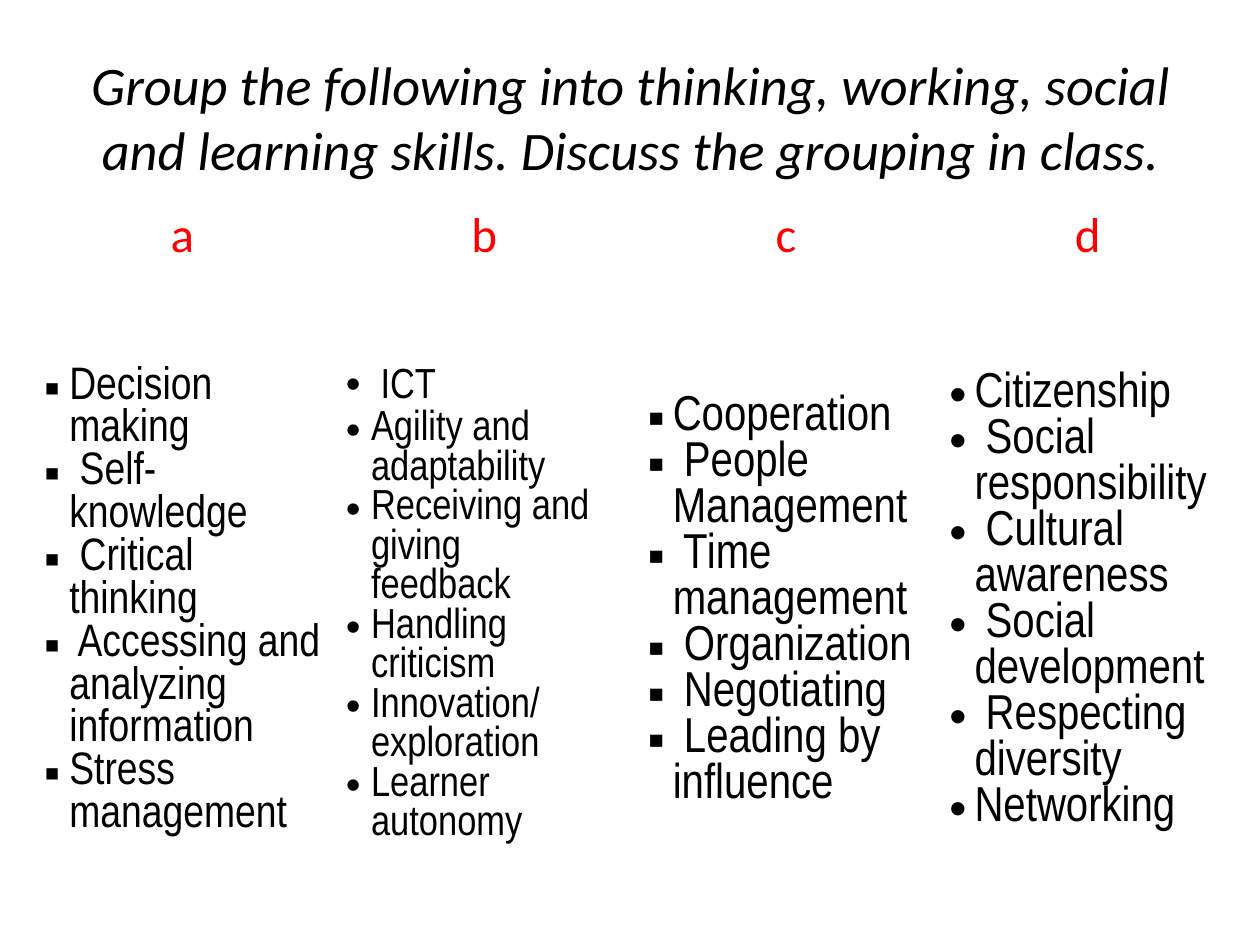
from lxml import etree
from pptx import Presentation
from pptx import util as u
from pptx.dml.color import RGBColor
from pptx.enum import text
from pptx.oxml import ns

BLACK = RGBColor(0, 0, 0)
RED = RGBColor(255, 0, 0)
BODY = "Arial Narrow"
HEAD = "Calibri"

# Skill columns: letter, text size, bullet, items
SKILLS = [
    ("a", 26, "▪", ["Decision making", " Self- knowledge", " Critical thinking",
                    " Accessing and\nanalyzing\ninformation",
                    "Stress management"]),
    ("b", 24, "•", [" ICT", "Agility and adaptability",
                    "Receiving and giving\nfeedback", "Handling criticism",
                    "Innovation/exploration", "Learner autonomy"]),
    ("c", 28, "▪", ["Cooperation", " People\nManagement", " Time management",
                    " Organization", " Negotiating", " Leading by\ninfluence"]),
    ("d", 28, "•", ["Citizenship", " Social responsibility",
                    " Cultural awareness", " Social development",
                    " Respecting diversity", "Networking"]),
]


def write(para, words, size, font=BODY, color=BLACK, italic=False,
          align=text.PP_ALIGN.LEFT):
    para.alignment = align
    for i, line in enumerate(words.split("\n")):
        if i:
            para.add_line_break()
        run = para.add_run()
        run.text = line
        face = run.font
        face.name, face.size = font, u.Pt(size)
        face.bold, face.italic = False, italic
        face.color.rgb = color


def mark(para, char):
    props = para._p.get_or_add_pPr()
    props.set("marL", str(u.Inches(0.2)))
    props.set("indent", str(u.Inches(-0.2)))
    etree.SubElement(props, ns.qn("a:buFont")).set("typeface", "Arial")
    etree.SubElement(props, ns.qn("a:buChar")).set("char", char)


def title(slide, words):
    box = slide.shapes.add_textbox(u.Inches(0.5), u.Inches(0.3),
                                   u.Inches(9), u.Inches(1.25))
    frame = box.text_frame
    frame.word_wrap = True
    frame.vertical_anchor = text.MSO_ANCHOR.MIDDLE
    write(frame.paragraphs[0], words, 31, font=HEAD, italic=True,
          align=text.PP_ALIGN.CENTER)


def fill_list(cell, items, size, char):
    cell.vertical_anchor = text.MSO_ANCHOR.MIDDLE
    cell.margin_right = u.Inches(0.05)
    frame = cell.text_frame
    for i, item in enumerate(items):
        para = frame.add_paragraph() if i else frame.paragraphs[0]
        mark(para, char)
        if item == " ICT":
            # The leading space is set in the heading font
            write(para, " ", size, font=HEAD)
            item = item.strip()
        write(para, item, size)


def skill_table(slide):
    wide = u.Inches(9.58)
    grid = slide.shapes.add_table(2, len(SKILLS), u.Inches(0.25),
                                  u.Inches(1.58), wide, u.Inches(5.67)).table
    grid.first_row = grid.horz_banding = False
    grid.rows[0].height = u.Inches(0.72)
    grid.rows[1].height = u.Inches(4.95)
    for cell in grid.iter_cells():
        cell.fill.background()
    for col, (name, size, char, items) in enumerate(SKILLS):
        grid.columns[col].width = wide // len(SKILLS)
        write(grid.cell(0, col).text_frame.paragraphs[0], name, 28,
              font=HEAD, color=RED, align=text.PP_ALIGN.CENTER)
        fill_list(grid.cell(1, col), items, size, char)


def main():
    deck = Presentation()
    deck.slide_width, deck.slide_height = u.Inches(10), u.Inches(7.5)
    slide = deck.slides.add_slide(deck.slide_layouts[6])
    title(slide, "Group the following into thinking, working, social and "
                 "learning skills. Discuss the grouping in class.")
    skill_table(slide)
    deck.save("out.pptx")


if __name__ == "__main__":
    main()
